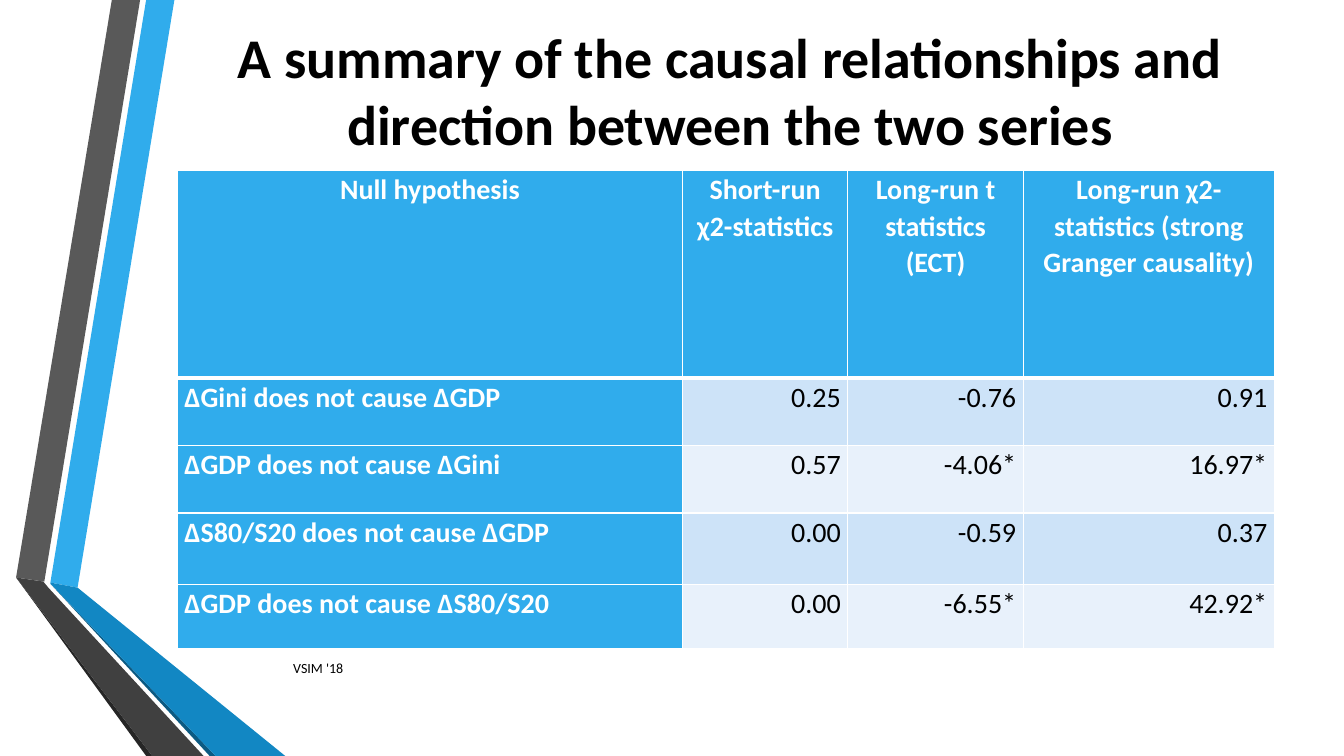
import pptx
import pptx.dml.color
import pptx.enum.text
import pptx.util
from pptx.oxml import parse_xml
from pptx.oxml.ns import nsdecls

PX = 9144  # 100 px to the inch
RGB = pptx.dml.color.RGBColor
ALIGN = pptx.enum.text.PP_ALIGN
MIDDLE = pptx.enum.text.MSO_ANCHOR.MIDDLE

WHITE = RGB(0xFF, 0xFF, 0xFF)
BLACK = RGB(0x00, 0x00, 0x00)
BLUE = RGB(0x30, 0xAC, 0xEC)
BLUE_FOLD = RGB(0x12, 0x87, 0xC3)
BLUE_EDGE = RGB(0x0C, 0x5A, 0x82)
GREY = RGB(0x59, 0x59, 0x59)
GREY_FOLD = RGB(0x40, 0x40, 0x40)
GREY_EDGE = RGB(0x26, 0x26, 0x26)
BANDS = [RGB(0xCD, 0xE3, 0xF8), RGB(0xE8, 0xF1, 0xFB)]

RIBBONS = [
    (BLUE, [(50, 578), (77, 583), (173, 0), (145, 0)]),
    (GREY, [(139, 0), (111, 0), (16, 573), (44, 577)]),
    (GREY_EDGE, [(16, 573), (145, 750), (151, 750)]),
    (BLUE_EDGE, [(50, 579), (208, 750), (214, 750)]),
    (BLUE_FOLD, [(50, 579), (214, 750), (283, 750), (77, 583), (50, 578)]),
    (GREY_FOLD, [(202, 750), (48, 583), (43, 577), (16, 573), (151, 750)]),
]

COLUMNS = [501, 164, 174, 249]
ROWS = [206, 67, 67, 71, 64]
RESULTS = [
    ["Null hypothesis", "Short-run χ2-statistics", "Long-run t statistics (ECT)",
     "Long-run χ2-statistics (strong Granger causality)"],
    ["ΔGini does not cause ΔGDP", "0.25", "-0.76", "0.91"],
    ["ΔGDP does not cause ΔGini", "0.57", "-4.06*", "16.97*"],
    ["ΔS80/S20 does not cause ΔGDP", "0.00", "-0.59", "0.37"],
    ["ΔGDP does not cause ΔS80/S20", "0.00", "-6.55*", "42.92*"],
]


def emu(*lengths):
    return [pptx.util.Emu(length * PX) for length in lengths]


def set_all(target, values):
    for name, value in values.items():
        setattr(target, name, value)


def write(frame, text, size, color, bold=False, **para_format):
    para = frame.paragraphs[0]
    set_all(para, para_format)
    span = para.add_run()
    span.text = text
    set_all(span.font, {"name": "Calibri", "size": pptx.util.Pt(size), "bold": bold})
    span.font.color.rgb = color


def draw_ribbons(page, left, top):
    for color, points in RIBBONS:
        builder = page.shapes.build_freeform(*points[0], scale=PX)
        builder.add_line_segments(points[1:], close=True)
        ribbon = builder.convert_to_shape(*emu(left, top))
        ribbon.shadow.inherit = False
        ribbon.fill.solid()
        ribbon.fill.fore_color.rgb = color
        ribbon.line.fill.background()


def place_title(page, left, top, width, height):
    title = page.shapes.title
    set_all(title, dict(zip(("left", "top", "width", "height"),
                            emu(left, top, width, height))))
    set_all(title.text_frame, {"word_wrap": True, "vertical_anchor": MIDDLE,
                               "auto_size": pptx.enum.text.MSO_AUTO_SIZE.NONE})
    write(title.text_frame,
          "A summary of the causal relationships and direction between the two series",
          40, BLACK, True, alignment=ALIGN.CENTER)


def place_footer(page, left, top, width, height):
    footer = page.shapes.add_textbox(*emu(left, top, width, height))
    set_all(footer.text_frame, {"word_wrap": True, "vertical_anchor": MIDDLE})
    write(footer.text_frame, "VSIM '18", 10, BLACK)


def set_borders(cell, top_width, bottom_width):
    widths = {"lnL": 1, "lnR": 1, "lnT": top_width, "lnB": bottom_width}
    properties = cell._tc.get_or_add_tcPr()
    for place, (side, width) in enumerate(widths.items()):
        properties.insert(place, parse_xml(
            f'<a:{side} {nsdecls("a")} w="{pptx.util.Pt(width)}"><a:solidFill>'
            f'<a:srgbClr val="{WHITE}"/></a:solidFill></a:{side}>'))


def place_table(page, left, top):
    frame = page.shapes.add_table(len(ROWS), len(COLUMNS),
                                  *emu(left, top, sum(COLUMNS), sum(ROWS)))
    table = frame.table
    for column, width in zip(table.columns, emu(*COLUMNS)):
        column.width = width
    for row, height in zip(table.rows, emu(*ROWS)):
        row.height = height
    margins = dict(zip(("margin_left", "margin_top", "margin_right", "margin_bottom"),
                       emu(7, 0, 7, 0)))
    for r, texts in enumerate(RESULTS):
        for c, text in enumerate(texts):
            cell = table.cell(r, c)
            heading = r == 0 or c == 0
            set_all(cell, margins)
            cell.fill.solid()
            cell.fill.fore_color.rgb = BLUE if heading else BANDS[(r - 1) % 2]
            set_borders(cell, 3 if r == 1 else 1, 3 if r == 0 else 1)
            if r == 0:
                align = ALIGN.CENTER
            elif c == 0:
                align = ALIGN.JUSTIFY if r < 3 else ALIGN.LEFT
            else:
                align = ALIGN.RIGHT
            write(cell.text_frame, text, 20, WHITE if heading else BLACK, heading,
                  alignment=align, line_spacing=1.07)


def main():
    deck = pptx.Presentation()
    deck.slide_width, deck.slide_height = emu(1333, 750)
    page = deck.slides.add_slide(deck.slide_layouts[5])
    draw_ribbons(page, 0, 0)
    place_title(page, 176, 0, 1096, 178)
    place_footer(page, 281, 643, 775, 40)
    place_table(page, 176, 169)
    deck.save("out.pptx")


if __name__ == "__main__":
    main()
